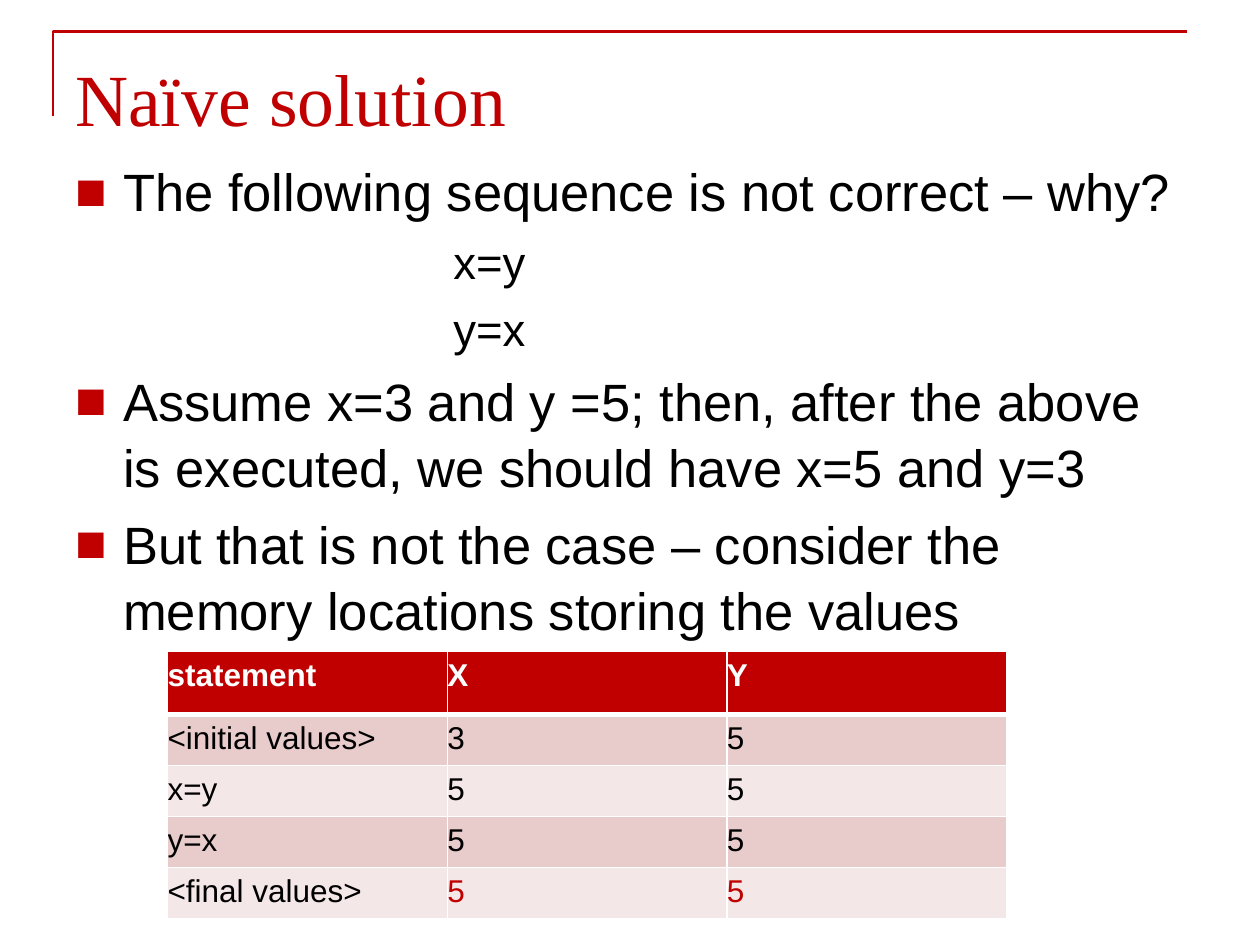
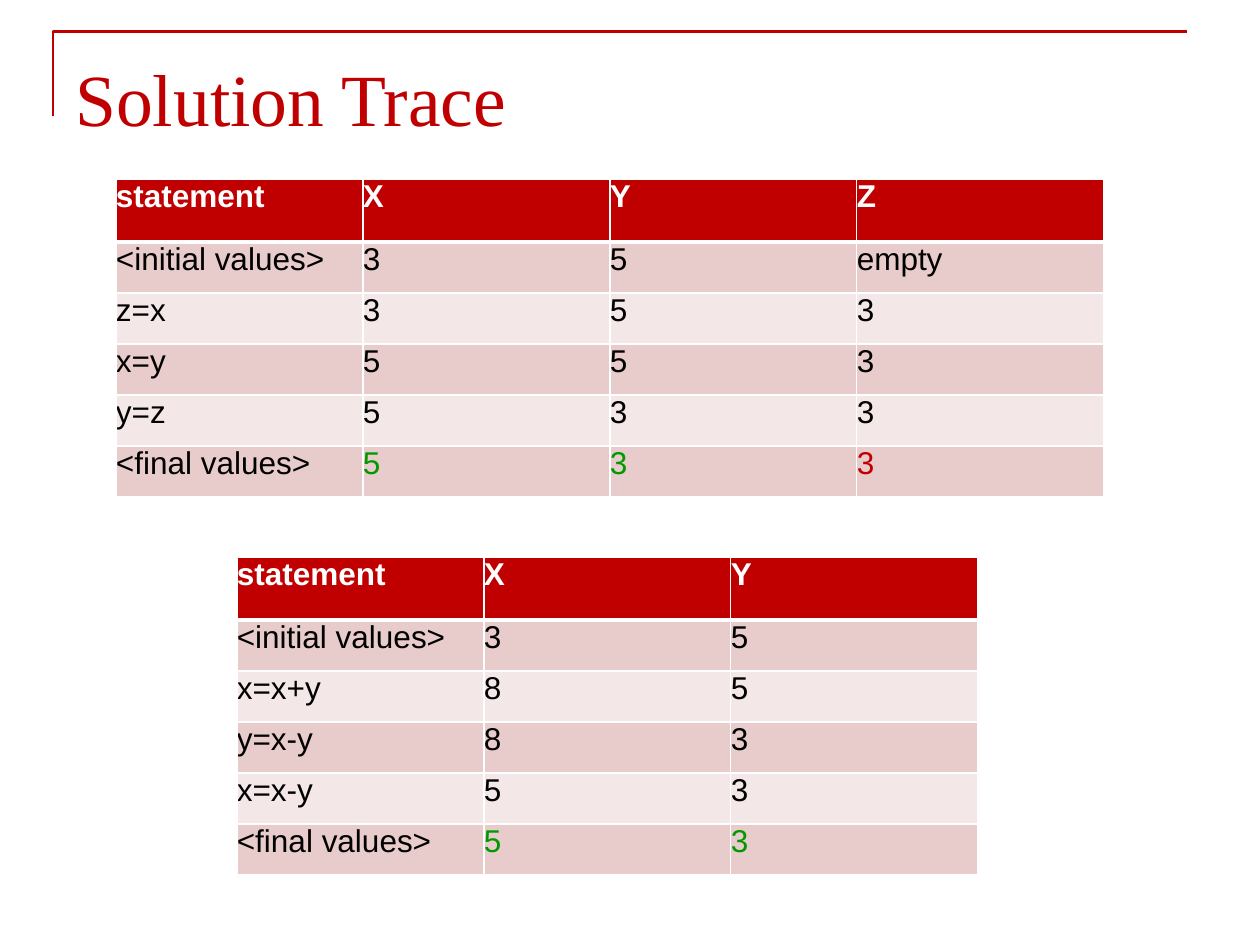
from dataclasses import dataclass

from lxml import etree
from pptx import Presentation
from pptx.dml.color import RGBColor
from pptx.enum.text import MSO_ANCHOR
from pptx.oxml.ns import qn
from pptx.util import Inches, Pt

TOP = MSO_ANCHOR.TOP

RED = "C00000"
GREEN = "009900"
BLACK = "000000"
WHITE = "FFFFFF"
BANDS = ("E8CBCB", "F4E7E7")
TITLE_FONT = "Times New Roman"
BODY_FONT = "Arial"

HEADER_HEIGHT = Inches(0.5)
ROW_HEIGHT = Inches(0.81) // 2
BULLET_INDENT = Inches(0.38)
CODE_INDENT = Inches(3)


@dataclass(frozen=True)
class BodyLine:
    text: str
    is_code: bool = False


@dataclass(frozen=True)
class TraceTable:
    left: float
    top: float
    column_width: float
    inset: float
    rows: tuple[tuple[str, ...], ...]
    final_colors: tuple[str, ...]


NAIVE_LINES = (
    BodyLine("The following sequence is not correct – why?"),
    BodyLine("x=y", is_code=True),
    BodyLine("y=x", is_code=True),
    BodyLine("Assume x=3 and y =5; then, after the above is executed, we should have x=5 and y=3"),
    BodyLine("But that is not the case – consider the memory locations storing the values"),
)

NAIVE_TRACE = TraceTable(
    1.33, 5.17, 2.22, 0.05,
    (
        ("statement", "X", "Y"),
        ("<initial values>", "3", "5"),
        ("x=y", "5", "5"),
        ("y=x", "5", "5"),
        ("<final values>", "5", "5"),
    ),
    (BLACK, RED, RED),
)

SPARE_VARIABLE_TRACE = TraceTable(
    0.92, 1.42, 1.96, 0,
    (
        ("statement", "X", "Y", "Z"),
        ("<initial values>", "3", "5", "empty"),
        ("z=x", "3", "5", "3"),
        ("x=y", "5", "5", "3"),
        ("y=z", "5", "3", "3"),
        ("<final values>", "5", "3", "3"),
    ),
    (BLACK, GREEN, GREEN, RED),
)

ARITHMETIC_TRACE = TraceTable(
    1.88, 4.42, 1.96, 0,
    (
        ("statement", "X", "Y"),
        ("<initial values>", "3", "5"),
        ("x=x+y", "8", "5"),
        ("y=x-y", "8", "3"),
        ("x=x-y", "5", "3"),
        ("<final values>", "5", "3"),
    ),
    (BLACK, GREEN, GREEN),
)


def rgb(color: str) -> RGBColor:
    return RGBColor.from_string(color)


def add_span(para, text: str, size: float, color: str, font: str = BODY_FONT, bold: bool = False) -> None:
    span = para.add_run()
    span.text = text
    span.font.name = font
    span.font.size = Pt(size)
    span.font.bold = bold
    span.font.color.rgb = rgb(color)


def add_text_frame(page, top: float, height: float, top_inset: float):
    box = page.shapes.add_textbox(Inches(0.5), Inches(top), Inches(9), Inches(height))
    frame = box.text_frame
    frame.word_wrap = True
    frame.vertical_anchor = TOP
    frame.margin_top = Inches(top_inset)
    return frame


def add_corner_rule(page) -> None:
    builder = page.shapes.build_freeform(Inches(0.42), Inches(0.92))
    builder.add_line_segments(
        [(Inches(0.42), Inches(0.25)), (Inches(9.42), Inches(0.25))], close=False
    )
    rule = builder.convert_to_shape()
    rule.shadow.inherit = False
    rule.fill.background()
    rule.line.color.rgb = rgb(RED)
    rule.line.width = Pt(1.5)


def add_page(deck, title: str):
    page = deck.slides.add_slide(deck.slide_layouts[6])
    add_corner_rule(page)
    frame = add_text_frame(page, 0.3, 1.25, 0.12)
    add_span(frame.paragraphs[0], title, 42, RED, TITLE_FONT)
    return page


def add_bullet(para) -> None:
    properties = para._p.get_or_add_pPr()
    properties.set("marL", str(BULLET_INDENT))
    properties.set("indent", str(-BULLET_INDENT))
    bullet_color = etree.SubElement(properties, qn("a:buClr"))
    etree.SubElement(bullet_color, qn("a:srgbClr"), val=RED)
    etree.SubElement(properties, qn("a:buFont"), typeface=BODY_FONT)
    etree.SubElement(properties, qn("a:buChar"), char="■")


def add_body(page, lines: tuple[BodyLine, ...]) -> None:
    frame = add_text_frame(page, 1.17, 4.95, 0.07)
    for index, line in enumerate(lines):
        para = frame.add_paragraph() if index else frame.paragraphs[0]
        para.line_spacing = 1.05
        if line.is_code:
            para.level = 1
            para._p.get_or_add_pPr().set("marL", str(CODE_INDENT))
            para._p.get_or_add_pPr().set("indent", "0")
        else:
            add_bullet(para)
        size = 26 if line.is_code else 30
        para.space_before = Pt(size * 0.2 if index else 0)
        add_span(para, line.text, size, BLACK)


def set_borders(cell, top_width: float, bottom_width: float) -> None:
    properties = cell._tc.get_or_add_tcPr()
    widths = {"lnL": 1, "lnR": 1, "lnT": top_width, "lnB": bottom_width}
    for position, (side, width) in enumerate(widths.items()):
        border = etree.Element(qn(f"a:{side}"), w=str(Pt(width)))
        fill = etree.SubElement(border, qn("a:solidFill"))
        etree.SubElement(fill, qn("a:srgbClr"), val=WHITE)
        properties.insert(position, border)


def add_trace(page, trace: TraceTable) -> None:
    row_count, column_count = len(trace.rows), len(trace.rows[0])
    column_width = Inches(trace.column_width)
    table = page.shapes.add_table(
        row_count, column_count, Inches(trace.left), Inches(trace.top),
        column_width * column_count, HEADER_HEIGHT + ROW_HEIGHT * (row_count - 1),
    ).table
    for column in table.columns:
        column.width = column_width
    for row_index, values in enumerate(trace.rows):
        is_header = row_index == 0
        is_final = row_index == row_count - 1
        table.rows[row_index].height = HEADER_HEIGHT if is_header else ROW_HEIGHT
        for column_index, value in enumerate(values):
            cell = table.cell(row_index, column_index)
            cell.margin_left = cell.margin_right = 0
            cell.margin_top = cell.margin_bottom = Inches(trace.inset)
            cell.vertical_anchor = TOP
            cell.fill.solid()
            cell.fill.fore_color.rgb = rgb(RED if is_header else BANDS[(row_index - 1) % 2])
            set_borders(cell, 3 if row_index == 1 else 1, 3 if is_header else 1)
            color = WHITE if is_header else BLACK
            if is_final:
                color = trace.final_colors[column_index]
            add_span(cell.text_frame.paragraphs[0], value, 18, color, bold=is_header)


def main() -> None:
    deck = Presentation()
    deck.slide_width = Inches(10)
    deck.slide_height = Inches(7.5)

    naive_page = add_page(deck, "Naïve solution")
    add_body(naive_page, NAIVE_LINES)
    add_trace(naive_page, NAIVE_TRACE)

    trace_page = add_page(deck, "Solution Trace")
    for trace in (SPARE_VARIABLE_TRACE, ARITHMETIC_TRACE):
        add_trace(trace_page, trace)

    deck.save("out.pptx")


if __name__ == "__main__":
    main()
